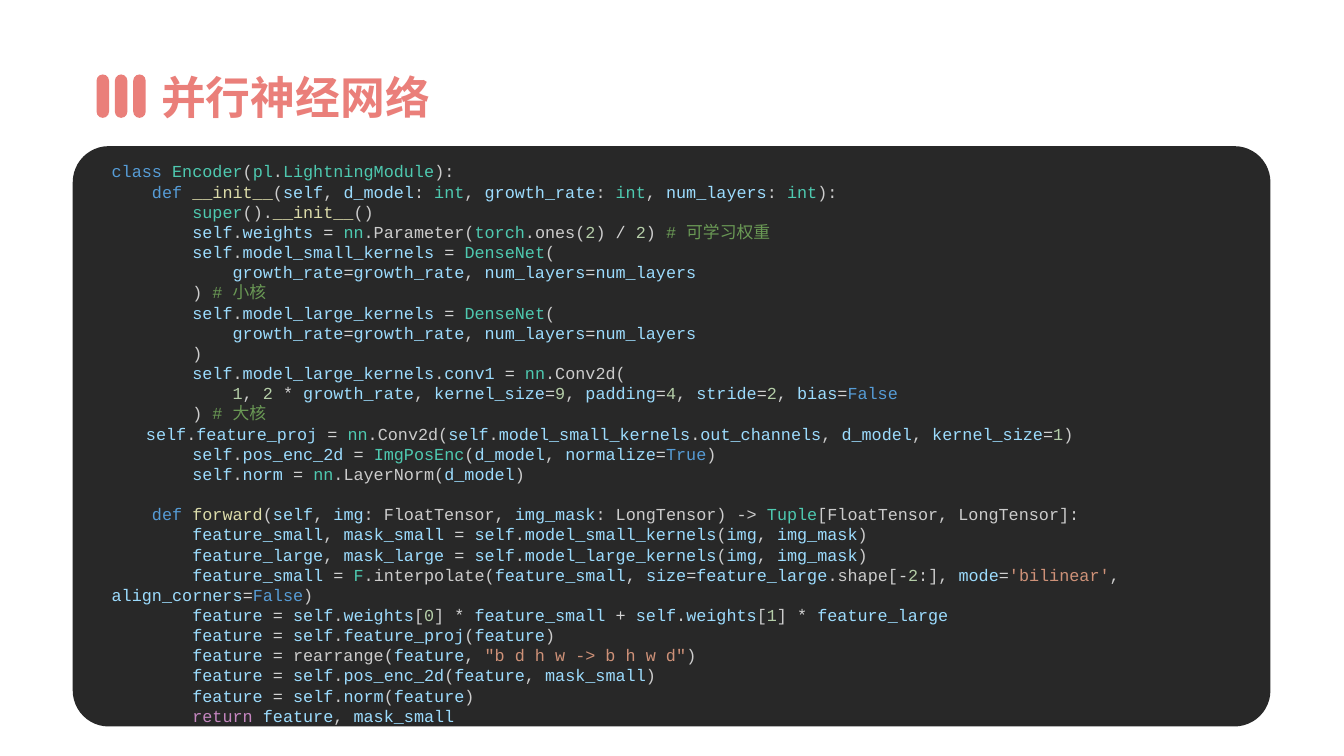
import itertools

import pptx
import pptx.dml.color
import pptx.enum.shapes
import pptx.enum.text
import pptx.oxml
import pptx.oxml.ns
import pptx.util

Pt = pptx.util.Pt
RGBColor = pptx.dml.color.RGBColor
ROUNDED = pptx.enum.shapes.MSO_SHAPE.ROUNDED_RECTANGLE
FIT_TEXT = pptx.enum.text.MSO_AUTO_SIZE.SHAPE_TO_FIT_TEXT

CORAL = RGBColor(0xEA, 0x7F, 0x7A)
PANEL = RGBColor(0x28, 0x28, 0x28)
PLAIN = RGBColor(0xCC, 0xCC, 0xCC)
OPERATOR = RGBColor(0xD4, 0xD4, 0xD4)
NAME = RGBColor(0x9C, 0xDC, 0xFE)
NUMBER = RGBColor(0xB5, 0xCE, 0xA8)
STRING = RGBColor(0xCE, 0x91, 0x78)
COMMENT = RGBColor(0x6A, 0x99, 0x55)
KEYWORD = RGBColor(0x56, 0x9C, 0xD6)
TYPE = RGBColor(0x4E, 0xC9, 0xB0)
FUNCTION = RGBColor(0xDC, 0xDC, 0xAA)
CONTROL = RGBColor(0xC5, 0x86, 0xC0)

WORD_COLOURS = {
    word: colour
    for colour, words in [
        (KEYWORD, "class def False True"),
        (TYPE, "Encoder pl LightningModule int super nn torch DenseNet ImgPosEnc Tuple F"),
        (FUNCTION, "__init__ forward"),
        (CONTROL, "return"),
        (PLAIN, "Parameter ones Conv2d LayerNorm FloatTensor LongTensor interpolate shape rearrange"),
    ]
    for word in words.split()
}

CODE_SIZE = 12
CHAR_WIDTH = 7.2
LINE_PITCH = 14.4

# Indent in characters, then the line; a tab leads to the comment
INIT_CODE = [
    (0, "class Encoder(pl.LightningModule):"),
    (4, "def __init__(self, d_model: int, growth_rate: int, num_layers: int):"),
    (8, "super().__init__()"),
    (8, "self.weights = nn.Parameter(torch.ones(2) / 2)\t# 可学习权重"),
    (8, "self.model_small_kernels = DenseNet("),
    (12, "growth_rate=growth_rate, num_layers=num_layers"),
    (8, ")\t# 小核"),
    (8, "self.model_large_kernels = DenseNet("),
    (12, "growth_rate=growth_rate, num_layers=num_layers"),
    (8, ")"),
    (8, "self.model_large_kernels.conv1 = nn.Conv2d("),
    (12, "1, 2 * growth_rate, kernel_size=9, padding=4, stride=2, bias=False"),
    (8, ")\t# 大核"),
    (3.4, "self.feature_proj = nn.Conv2d(self.model_small_kernels.out_channels, d_model, kernel_size=1)"),
    (8, "self.pos_enc_2d = ImgPosEnc(d_model, normalize=True)"),
    (8, "self.norm = nn.LayerNorm(d_model)"),
]
FORWARD_CODE = [
    (4, "def forward(self, img: FloatTensor, img_mask: LongTensor) -> Tuple[FloatTensor, LongTensor]:"),
    (8, "feature_small, mask_small = self.model_small_kernels(img, img_mask)"),
    (8, "feature_large, mask_large = self.model_large_kernels(img, img_mask)"),
    (8, "feature_small = F.interpolate(feature_small, size=feature_large.shape[-2:], "
        "mode='bilinear', align_corners=False)"),
    (8, "feature = self.weights[0] * feature_small + self.weights[1] * feature_large"),
    (8, "feature = self.feature_proj(feature)"),
    (8, 'feature = rearrange(feature, "b d h w -> b h w d")'),
    (8, "feature = self.pos_enc_2d(feature, mask_small)"),
    (8, "feature = self.norm(feature)"),
    (8, "return feature, mask_small"),
]


def word_colour(word):
    return WORD_COLOURS.get(word, NUMBER if word.isdigit() else NAME)


def coloured_chars(line):
    """Yield each character of a code line with its syntax colour."""
    code, mark, comment = line.partition("#")
    quote = ""
    for is_word, chars in itertools.groupby(code, lambda c: c.isalnum() or c == "_"):
        token = "".join(chars)
        for char in token:
            if quote:
                yield char, STRING
                quote = "" if char == quote else quote
            elif char in "'\"":
                quote = char
                yield char, STRING
            elif is_word:
                yield char, word_colour(token)
            else:
                yield char, OPERATOR if char in "=*/+-" and "->" not in token else PLAIN
    for char in mark + comment:
        yield char, COMMENT


def add_bar(shapes, left, top, width, height, roundness, colour):
    bar = shapes.add_shape(ROUNDED, Pt(left), Pt(top), Pt(width), Pt(height))
    bar.adjustments[0] = roundness
    bar.shadow.inherit = False
    bar.fill.solid()
    bar.fill.fore_color.rgb = colour
    bar.line.fill.background()


def indent_line(paragraph, indent, line):
    """Indent the first row only, and set a tab stop for a comment."""
    properties = paragraph._p.get_or_add_pPr()
    properties.set("marL", "0")
    properties.set("indent", str(Pt(indent * CHAR_WIDTH)))
    if "\t" in line:
        column = indent + line.index("\t") + (3 if len(line) > 20 else 4)
        stops = pptx.oxml.parse_xml(
            f'<a:tabLst {pptx.oxml.ns.nsdecls("a")}>'
            f'<a:tab pos="{Pt(column * CHAR_WIDTH)}" algn="l"/></a:tabLst>')
        properties.append(stops)


def add_heading(slide, left, top):
    # Three upright bars
    bars = slide.shapes.add_group_shape().shapes
    for index in range(3):
        add_bar(bars, left + index * 13.1, top + 7.2, 8.9, 31, 0.5, CORAL)

    # Title
    box = slide.shapes.add_textbox(Pt(left + 39), Pt(top), Pt(211.7), Pt(46))
    box.text_frame.word_wrap = False
    box.text_frame.auto_size = FIT_TEXT
    box.text_frame.text = "并行神经网络"
    font = box.text_frame.paragraphs[0].runs[0].font
    font.name, font.size, font.bold = "DejaVu Sans Mono", Pt(32), True
    font.color.rgb = CORAL


def add_code_panel(slide, left, top, width, height):
    # Dark panel
    add_bar(slide.shapes, left, top, width, height, 0.062, PANEL)

    # Code
    box = slide.shapes.add_textbox(Pt(left + 20.7), Pt(top + 7.2), Pt(width - 41), Pt(height))
    frame = box.text_frame
    frame.word_wrap = True
    frame.auto_size = FIT_TEXT
    for number, (indent, line) in enumerate(INIT_CODE + FORWARD_CODE):
        paragraph = frame.paragraphs[0] if number == 0 else frame.add_paragraph()
        paragraph.line_spacing = Pt(LINE_PITCH)
        if number == len(INIT_CODE):
            paragraph.space_before = Pt(LINE_PITCH)
        indent_line(paragraph, indent, line)
        for colour, pairs in itertools.groupby(coloured_chars(line), lambda pair: pair[1]):
            run = paragraph.add_run()
            run.text = "".join(char for char, _ in pairs)
            run.font.name, run.font.size = "Courier New", Pt(CODE_SIZE)
            run.font.color.rgb = colour


def main():
    deck = pptx.Presentation()
    deck.slide_width, deck.slide_height = Pt(960), Pt(540)
    slide = deck.slides.add_slide(deck.slide_layouts[6])
    add_code_panel(slide, 52, 104.4, 855.5, 414.5)
    add_heading(slide, 69, 46)
    deck.save("out.pptx")


if __name__ == "__main__":
    main()
